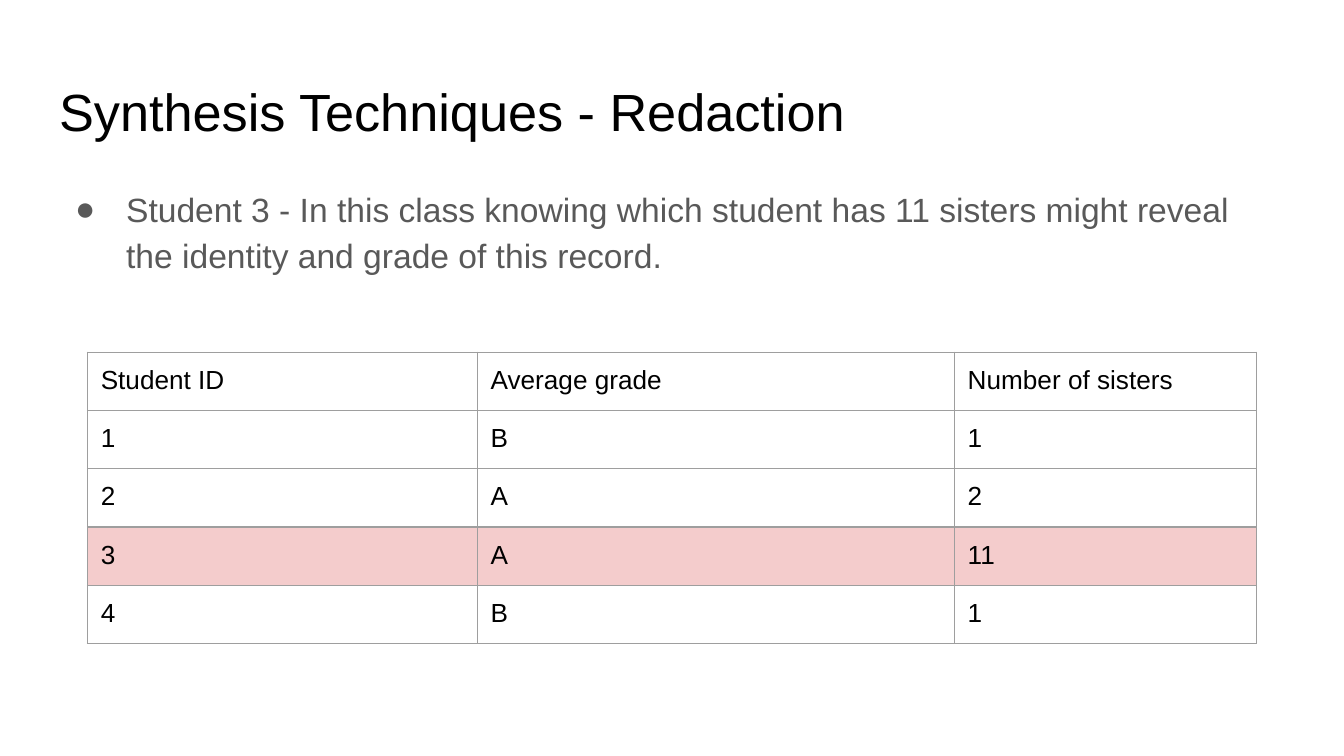
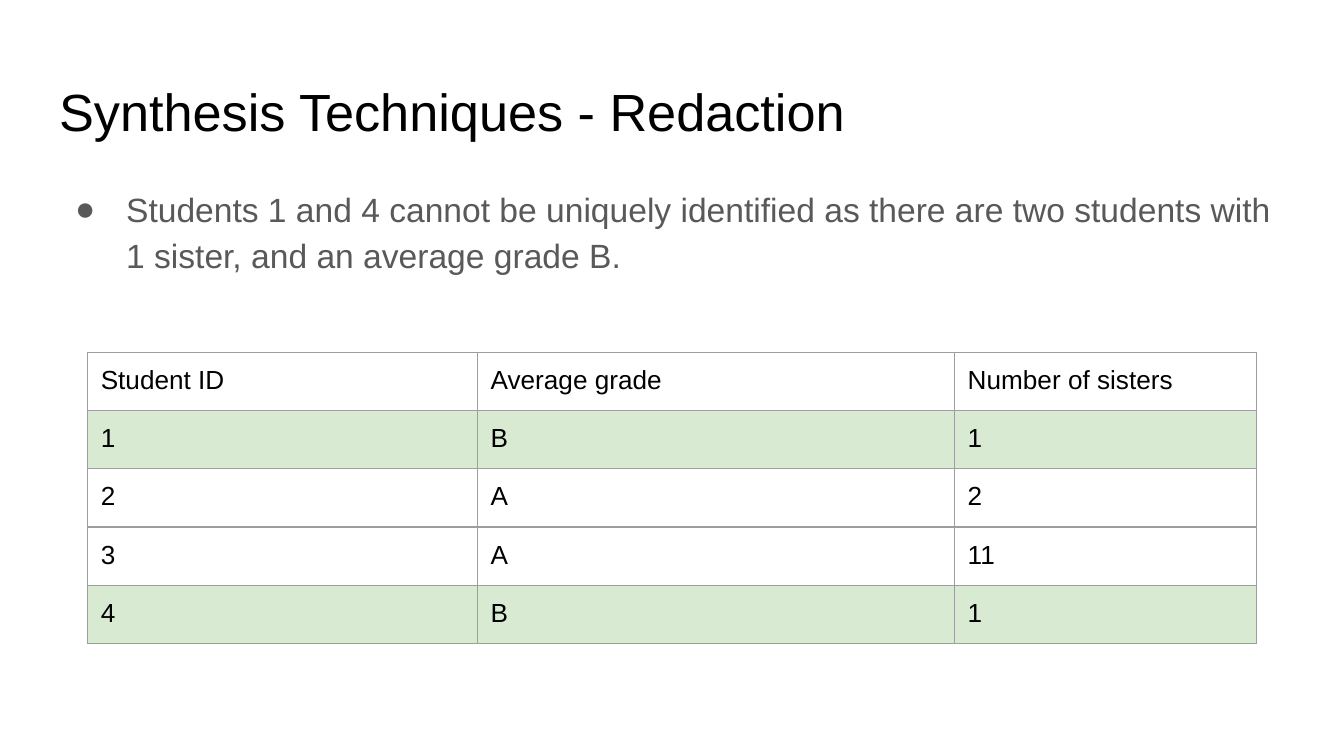
from lxml import etree
from pptx import Presentation
from pptx.dml.color import RGBColor
from pptx.enum.text import MSO_ANCHOR, MSO_AUTO_SIZE, PP_ALIGN
from pptx.oxml.ns import qn
from pptx.util import Inches, Pt

TOP = MSO_ANCHOR.TOP
NO_AUTOFIT = MSO_AUTO_SIZE.NONE
LEFT = PP_ALIGN.LEFT

BLACK = RGBColor(0x00, 0x00, 0x00)
WHITE = RGBColor(0xFF, 0xFF, 0xFF)
GRAY = RGBColor(0x59, 0x59, 0x59)
BORDER = RGBColor(0x9E, 0x9E, 0x9E)
PINK = RGBColor(0xF4, 0xCC, 0xCC)
GREEN = RGBColor(0xD9, 0xEA, 0xD3)

FONT = "Arial"
INSET = Inches(0.1)
SLIDE_WIDTH = 10
SLIDE_HEIGHT = SLIDE_WIDTH * 9 / 16
TITLE_BOX = (0.34, 0.49, 9.32, 0.63)
POINT_BOX = (0.34, 1.26, 9.32, 3.74)
TABLE_BOX = (0.65, 2.62, 8.7, 2.17)
COLUMN_SHARES = (2.9, 3.55, 2.25)

TITLE = "Synthesis Techniques - Redaction"
STUDENTS = (
    ("Student ID", "Average grade", "Number of sisters"),
    ("1", "B", "1"),
    ("2", "A", "2"),
    ("3", "A", "11"),
    ("4", "B", "1"),
)
REDACTION_STEPS = (
    ("Student 3 - In this class knowing which student has 11 sisters might "
     "reveal the identity and grade of this record.", {"3"}, PINK),
    ("Students 1 and 4 cannot be uniquely identified as there are two students "
     "with 1 sister, and an average grade B.", {"1", "4"}, GREEN),
)


def add_bullet(paragraph, color, indent, hanging):
    properties = paragraph._p.get_or_add_pPr()
    properties.set("marL", str(indent))
    properties.set("indent", str(-hanging))
    bullet_color = etree.SubElement(properties, qn("a:buClr"))
    etree.SubElement(bullet_color, qn("a:srgbClr"), val=str(color))
    etree.SubElement(properties, qn("a:buFont"), typeface=FONT)
    etree.SubElement(properties, qn("a:buChar"), char="●")


def write_text(frame, text, size, color=BLACK, spacing=1.0, bullet=False):
    paragraph = frame.paragraphs[0]
    if bullet:
        add_bullet(paragraph, color, Inches(0.5), Inches(0.38))
    paragraph.alignment = LEFT
    paragraph.line_spacing = spacing
    paragraph.space_before = paragraph.space_after = Pt(0)
    run = paragraph.add_run()
    run.text = text
    run.font.name = FONT
    run.font.size = Pt(size)
    run.font.bold = False
    run.font.color.rgb = color


def set_insets(holder):
    holder.margin_left = holder.margin_right = INSET
    holder.margin_top = holder.margin_bottom = INSET
    holder.vertical_anchor = TOP


def prepare_frame(frame):
    set_insets(frame)
    frame.word_wrap = True
    frame.auto_size = NO_AUTOFIT


def add_title(slide, box):
    title = slide.shapes.title
    title.left, title.top, title.width, title.height = map(Inches, box)
    prepare_frame(title.text_frame)
    write_text(title.text_frame, TITLE, size=28)


def add_point(slide, box, text):
    point = slide.shapes.add_textbox(*map(Inches, box))
    prepare_frame(point.text_frame)
    write_text(point.text_frame, text, size=18, color=GRAY, spacing=1.15, bullet=True)


def outline_cell(cell):
    properties = cell._tc.get_or_add_tcPr()
    for side in ("a:lnL", "a:lnR", "a:lnT", "a:lnB"):
        line = etree.SubElement(properties, qn(side), w=str(Pt(0.75)))
        fill = etree.SubElement(line, qn("a:solidFill"))
        etree.SubElement(fill, qn("a:srgbClr"), val=str(BORDER))


def add_student_table(slide, box, marked_ids, mark_color):
    frame = slide.shapes.add_table(len(STUDENTS), len(COLUMN_SHARES), *map(Inches, box))
    table = frame.table
    table.first_row = table.horz_banding = False
    for column, share in zip(table.columns, COLUMN_SHARES):
        column.width = Inches(box[2] * share / sum(COLUMN_SHARES))
    for row, student in zip(table.rows, STUDENTS):
        row.height = Inches(box[3] / len(STUDENTS))
        for cell, text in zip(row.cells, student):
            set_insets(cell)
            outline_cell(cell)
            if student[0] in marked_ids:
                cell.fill.solid()
                cell.fill.fore_color.rgb = mark_color
            else:
                cell.fill.background()
            write_text(cell.text_frame, text, size=14)


def add_redaction_slide(deck, point, marked_ids, mark_color):
    slide = deck.slides.add_slide(deck.slide_layouts.get_by_name("Title Only"))
    slide.background.fill.solid()
    slide.background.fill.fore_color.rgb = WHITE
    add_title(slide, TITLE_BOX)
    add_point(slide, POINT_BOX, point)
    add_student_table(slide, TABLE_BOX, marked_ids, mark_color)


def main():
    deck = Presentation()
    deck.slide_width = Inches(SLIDE_WIDTH)
    deck.slide_height = Inches(SLIDE_HEIGHT)
    for step in REDACTION_STEPS:
        add_redaction_slide(deck, *step)
    deck.save("out.pptx")


if __name__ == "__main__":
    main()
